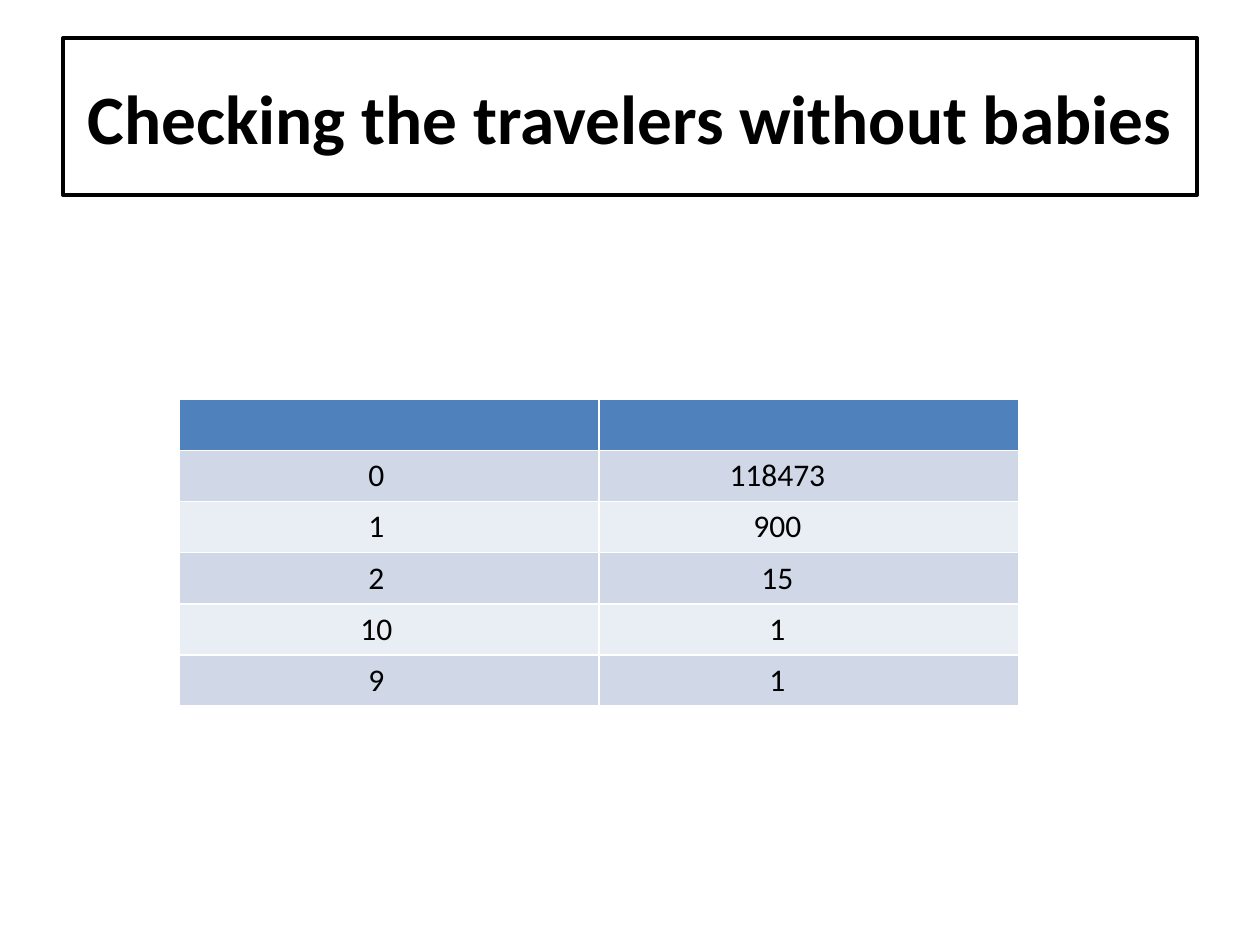
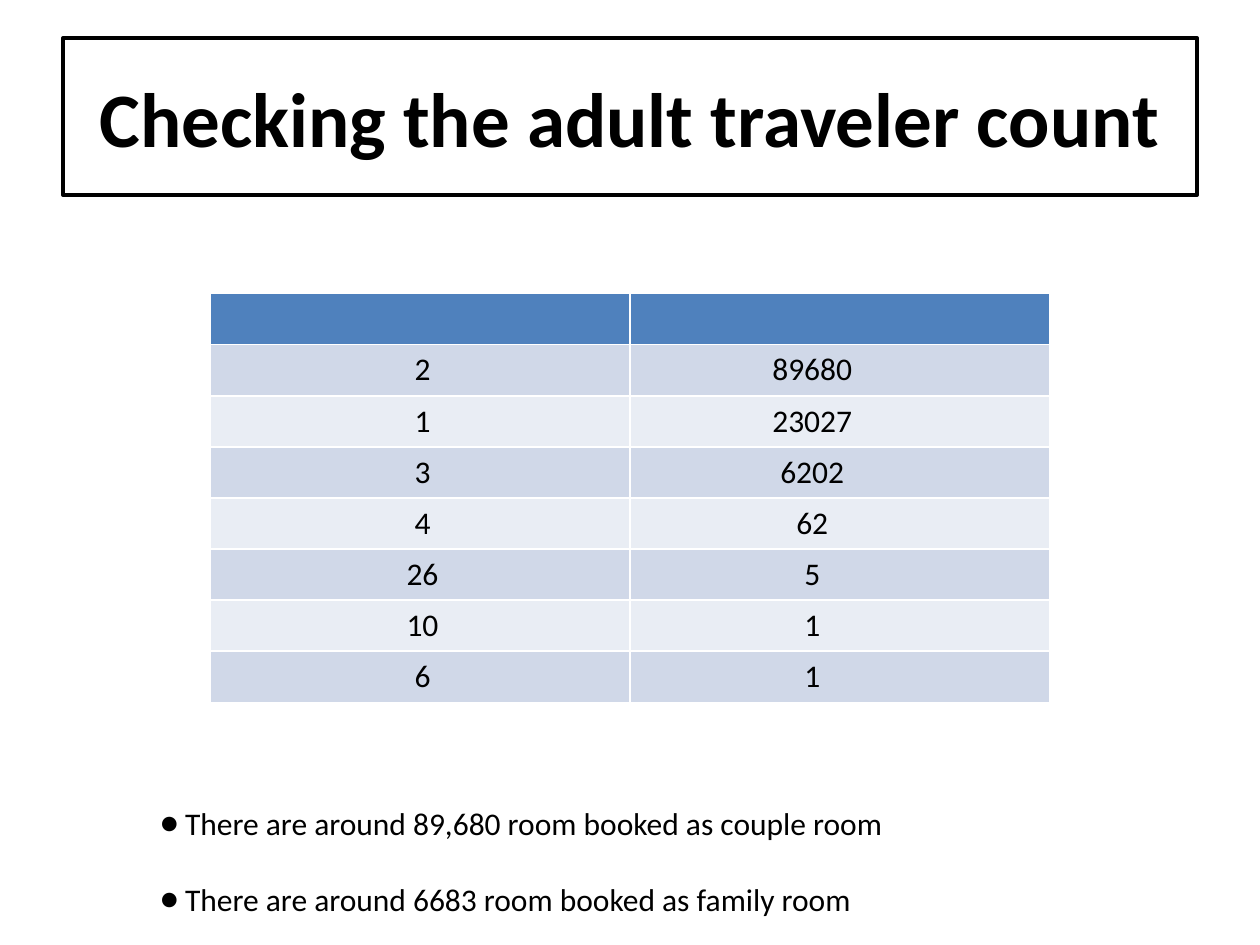
import pptx
import pptx.util
import pptx.dml.color
import pptx.enum.text
import pptx.oxml
import pptx.oxml.ns

Inches = pptx.util.Inches
Pt = pptx.util.Pt
RGBColor = pptx.dml.color.RGBColor
CENTER = pptx.enum.text.PP_ALIGN.CENTER
MIDDLE = pptx.enum.text.MSO_ANCHOR.MIDDLE

# Shared look
FONT = "Calibri"
BLACK = RGBColor(0x00, 0x00, 0x00)
WHITE = RGBColor(0xFF, 0xFF, 0xFF)
HEADER_BLUE = RGBColor(0x4F, 0x81, 0xBD)
BANDS = (RGBColor(0xD0, 0xD8, 0xE8), RGBColor(0xE9, 0xED, 0xF4))

# Shared measures
SLIDE_WIDTH, SLIDE_HEIGHT = Inches(10), Inches(7.5)
TABLE_WIDTH = SLIDE_WIDTH * 2 // 3
ROW_HEIGHT = Pt(29.2)
CELL_INSET = 0.1
TEXT_SIZE = 18
BULLET_INDENT = Inches(0.2)

# Table contents: number of travelers, number of bookings
BABY_COUNTS = [(0, 118473), (1, 900), (2, 15), (10, 1), (9, 1)]
ADULT_COUNTS = [(2, 89680), (1, 23027), (3, 6202), (4, 62),
                (26, 5), (10, 1), (6, 1)]
ROOM_NOTES = ["There are around 89,680 room booked as couple room",
              "There are around 6683 room booked as family room"]


def format_runs(para, size, bold=False):
    for span in para.runs:
        span.font.name = FONT
        span.font.size = Pt(size)
        span.font.bold = bold
        span.font.color.rgb = BLACK


def add_titled_page(deck, text, size):
    """Add a page whose title stands in a black frame."""
    page = deck.slides.add_slide(deck.slide_layouts.get_by_name("Title Only"))
    title = page.shapes.title
    title.left, title.top = Inches(0.5), Inches(0.3)
    title.width, title.height = SLIDE_WIDTH - 2 * title.left, Inches(1.25)
    title.fill.solid()
    title.fill.fore_color.rgb = WHITE
    title.line.color.rgb = BLACK
    title.line.width = Pt(2)
    frame = title.text_frame
    frame.text = text
    frame.auto_size = pptx.enum.text.MSO_AUTO_SIZE.NONE
    frame.vertical_anchor = MIDDLE
    frame.paragraphs[0].alignment = CENTER
    format_runs(frame.paragraphs[0], size, bold=True)
    return page


def fill_cell(cell, color):
    cell.fill.solid()
    cell.fill.fore_color.rgb = color


def add_count_table(page, left, top, counts, offsets):
    """Add a banded table; offsets move each column's text off its centre."""
    row_total = len(counts) + 1
    table = page.shapes.add_table(row_total, 2, left, top, TABLE_WIDTH,
                                  ROW_HEIGHT * row_total).table
    for column in range(2):
        fill_cell(table.cell(0, column), HEADER_BLUE)
    for row, values in enumerate(counts, start=1):
        for column, (value, offset) in enumerate(zip(values, offsets)):
            cell = table.cell(row, column)
            fill_cell(cell, BANDS[(row - 1) % 2])
            cell.margin_left = Inches(CELL_INSET + max(0, 2 * offset))
            cell.margin_right = Inches(CELL_INSET + max(0, -2 * offset))
            cell.text_frame.text = str(value)
            para = cell.text_frame.paragraphs[0]
            para.alignment = CENTER
            format_runs(para, TEXT_SIZE)


def add_bullet(para):
    properties = para._p.get_or_add_pPr()
    properties.set("marL", str(BULLET_INDENT))
    properties.set("indent", str(-BULLET_INDENT))
    namespace = pptx.oxml.ns.nsdecls("a")
    for tag in (f'<a:buFont {namespace} typeface="{FONT}"/>',
                f'<a:buChar {namespace} char="●"/>'):
        properties.append(pptx.oxml.parse_xml(tag))


def add_notes_list(page, left, top, width, height, lines):
    frame = page.shapes.add_textbox(left, top, width, height).text_frame
    frame.word_wrap = True
    frame.text = "\n".join(lines)
    for index, para in enumerate(frame.paragraphs):
        if index:
            para.space_before = Pt(22)
        add_bullet(para)
        format_runs(para, TEXT_SIZE)


def main():
    deck = pptx.Presentation()
    deck.slide_width, deck.slide_height = SLIDE_WIDTH, SLIDE_HEIGHT

    # Babies
    page = add_titled_page(deck, "Checking the travelers without babies", 39.6)
    add_count_table(page, Inches(1.42), Inches(3.17), BABY_COUNTS,
                    offsets=(-0.1, -0.25))

    # Adults
    page = add_titled_page(deck, "Checking the adult traveler count", 44)
    add_count_table(page, (SLIDE_WIDTH - TABLE_WIDTH) // 2, Inches(2.33),
                    ADULT_COUNTS, offsets=(0.02, -0.22))
    add_notes_list(page, Inches(1.17), Inches(6.33), Inches(6.02),
                   Inches(1.01), ROOM_NOTES)

    deck.save("out.pptx")


if __name__ == "__main__":
    main()
